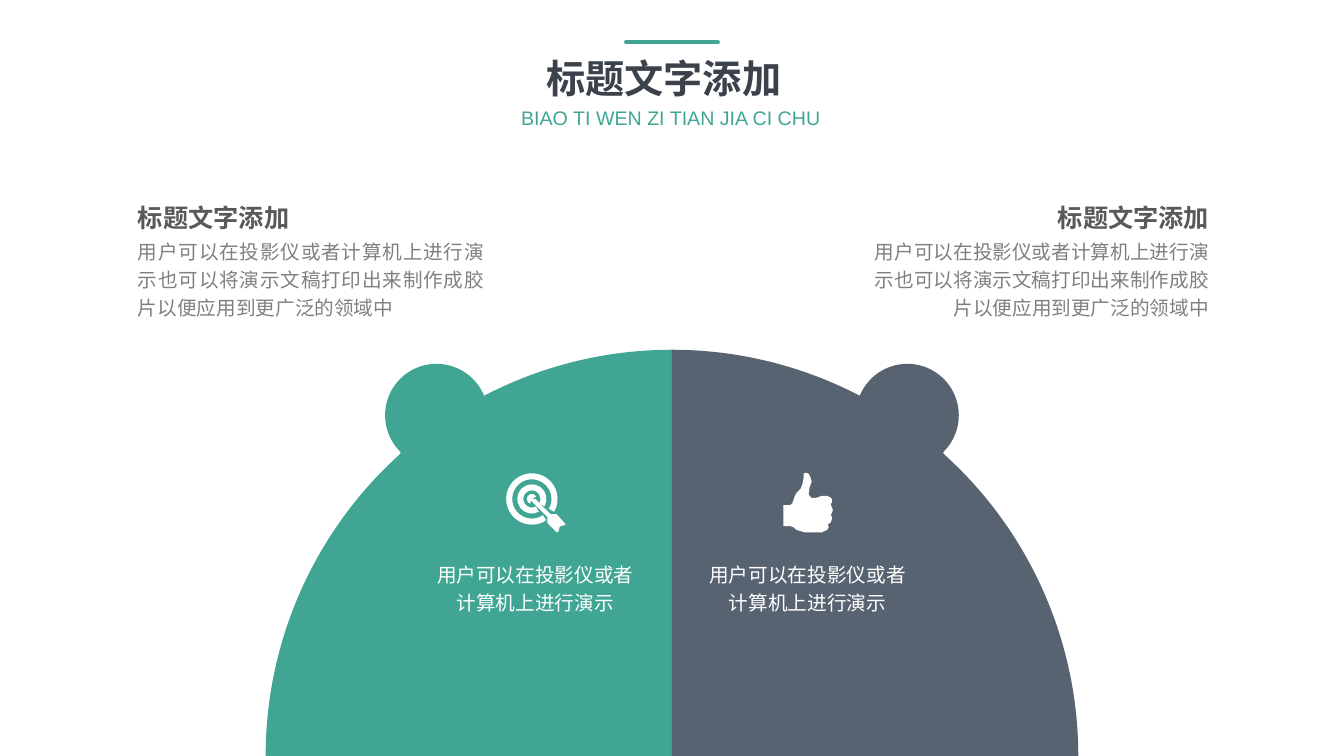
from math import ceil, cos, radians, sin, tan

from lxml import etree
from pptx import Presentation
from pptx import util as u
from pptx.dml.color import RGBColor
from pptx.enum import shapes, text
from pptx.oxml import ns

PX = 9144
SLIDE = (1333, 750)
FONT = "Arial"
COLORS = {
    "green": "40A693", "slate": "586371", "title": "3B424B",
    "heading": "595959", "body": "808080", "white": "FFFFFF",
}

HEADING = "标题文字添加"
DETAIL = "用户可以在投影仪或者计算机上进行演示也可以将演示文稿打印出来制作成胶片以便应用到更广泛的领域中"
CAPTION = "用户可以在投影仪或者计算机上进行演示"
JUSTIFY, RIGHT = text.PP_ALIGN.JUSTIFY, text.PP_ALIGN.RIGHT
CENTER, LEFT = text.PP_ALIGN.CENTER, text.PP_ALIGN.LEFT

# wording, box, size, color, bold, alignment, line spacing, wrap
TEXTS = [
    (HEADING, (532, 49, 269, 57), 28, "title", True, JUSTIFY, 1.0, True),
    ("BIAO TI WEN ZI TIAN JIA CI CHU", (507, 100, 319, 34), 14, "green", False, LEFT, 1.0, False),
    (DETAIL, (127, 228, 363, 95), 14, "body", False, JUSTIFY, 1.2, True),
    (HEADING, (127, 190, 245, 44), 18, "heading", True, JUSTIFY, 1.2, True),
    (DETAIL, (845, 228, 364, 95), 14, "body", False, RIGHT, 1.2, True),
    (HEADING, (964, 190, 245, 44), 18, "heading", True, RIGHT, 1.2, True),
    (CAPTION, (419, 549, 224, 67), 14, "white", False, CENTER, 1.2, True),
    (CAPTION, (689, 549, 224, 67), 14, "white", False, CENTER, 1.2, True),
]

ACCENT = ((621, 42), (712, 42))
AXIS = SLIDE[0] / 2
DOME_CENTER, DOME_RADIUS = (AXIS, 750), 403
EAR_CENTER, EAR_RADIUS = (433, 412), 51
BULLSEYE = (527.5, 495)

ARROW = [
    (530, 495), (531, 495), (546, 510), (552, 510), (560, 519),
    (561, 520), (560, 521), (556, 522), (555, 523), (554, 527), (553, 528),
    (552, 528), (543, 519), (543, 513), (528, 498), (527, 496), (528, 495),
]
THUMB = [
    (826, 506), (825, 509), (824, 511), (825, 513), (825, 515), (824, 518),
    (823, 519), (821, 520), (822, 523), (820, 526), (817, 527), (816, 528),
    (807, 528), (798, 528), (791, 526), (789, 525), (787, 523), (784, 522),
    (777, 522), (777, 501), (780, 501), (784, 501), (786, 499), (787, 496),
    (788, 493), (789, 491), (790, 489), (794, 485), (796, 480), (797, 474),
    (797, 470), (799, 469), (802, 470), (804, 474), (805, 478), (803, 483),
    (802, 490), (803, 492), (805, 494), (809, 494), (812, 493), (815, 492),
    (820, 492), (823, 493), (825, 495), (825, 498), (824, 501), (825, 503),
]


def arc(center, radius, start, end):
    count = ceil(abs(end - start) / 90)
    step = radians(end - start) / count
    reach = 4 / 3 * tan(step / 4)

    def at(angle, pull=0):
        return (center[0] + radius * (cos(angle) - pull * sin(angle)),
                center[1] - radius * (sin(angle) + pull * cos(angle)))

    angles = [radians(start) + step * i for i in range(count + 1)]
    curves = [at(a, reach) + at(b, -reach) + at(b) for a, b in zip(angles, angles[1:])]
    return [at(angles[0])] + curves


def ring(outer, inner, start, end):
    return arc(BULLSEYE, outer, start, end) + arc(BULLSEYE, inner, end, start)


def color(name):
    return RGBColor.from_string(COLORS[name])


def add_outline(slide, contours, fill):
    ends = [segment[-2:] for contour in contours for segment in contour]
    xs, ys = ([round(v * PX) for v in axis] for axis in zip(*ends))
    left, top, right, bottom = min(xs), min(ys), max(xs), max(ys)
    builder = slide.shapes.build_freeform(left, top, scale=1.0)
    builder.add_line_segments([(right, top), (right, bottom), (left, bottom)])
    outline = builder.convert_to_shape()
    route = next(outline._element.iter(ns.qn("a:path")))
    for child in list(route):
        route.remove(child)
    for contour in contours:
        for index, segment in enumerate(contour):
            tag = "cubicBezTo" if len(segment) == 6 else "lnTo" if index else "moveTo"
            command = etree.SubElement(route, ns.qn("a:" + tag))
            for x, y in zip(segment[::2], segment[1::2]):
                etree.SubElement(command, ns.qn("a:pt"), x=str(round(x * PX) - left),
                                 y=str(round(y * PX) - top))
        etree.SubElement(route, ns.qn("a:close"))
    outline.shadow.inherit = False
    outline.fill.solid()
    outline.fill.fore_color.rgb = color(fill)
    outline.line.fill.background()


def add_text(slide, wording, box, size, ink, bold, align, spacing, wrap):
    frame = slide.shapes.add_textbox(*(v * PX for v in box)).text_frame
    frame.word_wrap = wrap
    frame.auto_size = text.MSO_AUTO_SIZE.SHAPE_TO_FIT_TEXT
    paragraph = frame.paragraphs[0]
    paragraph.text = wording
    paragraph.alignment = align
    paragraph.line_spacing = spacing
    font = paragraph.font
    font.name, font.size, font.bold = FONT, u.Pt(size), bold
    font.color.rgb = color(ink)


def add_accent(slide):
    (x1, y1), (x2, y2) = ACCENT
    accent = slide.shapes.add_connector(
        shapes.MSO_CONNECTOR.STRAIGHT, x1 * PX, y1 * PX, x2 * PX, y2 * PX)
    accent.line.color.rgb = color("green")
    accent.line.width = u.Pt(3)
    accent.line._get_or_add_ln().set("cap", "rnd")
    etree.SubElement(accent._element.spPr, ns.qn("a:effectLst"))


def main():
    prs = Presentation()
    prs.slide_width, prs.slide_height = (v * PX for v in SLIDE)
    slide = prs.slides.add_slide(prs.slide_layouts[6])

    add_accent(slide)
    left_half = (
        [DOME_CENTER]
        + arc(DOME_CENTER, DOME_RADIUS, 180, 132)
        + arc(EAR_CENTER, EAR_RADIUS, 226, 22)
        + arc(DOME_CENTER, DOME_RADIUS, 117.5, 90)
    )
    right_half = [
        tuple(v if i % 2 else 2 * AXIS - v for i, v in enumerate(segment))
        for segment in left_half
    ]
    add_outline(slide, [left_half], "green")
    add_outline(slide, [right_half], "slate")

    target = [
        ARROW,
        arc(BULLSEYE, 5, 30, 250) + [BULLSEYE],
        ring(14.5, 8.5, -30, 299),
        ring(25.5, 19.5, -30, 304),
    ]
    add_outline(slide, target, "white")
    add_outline(slide, [THUMB], "white")

    for entry in TEXTS:
        add_text(slide, *entry)
    prs.save("out.pptx")


if __name__ == "__main__":
    main()
